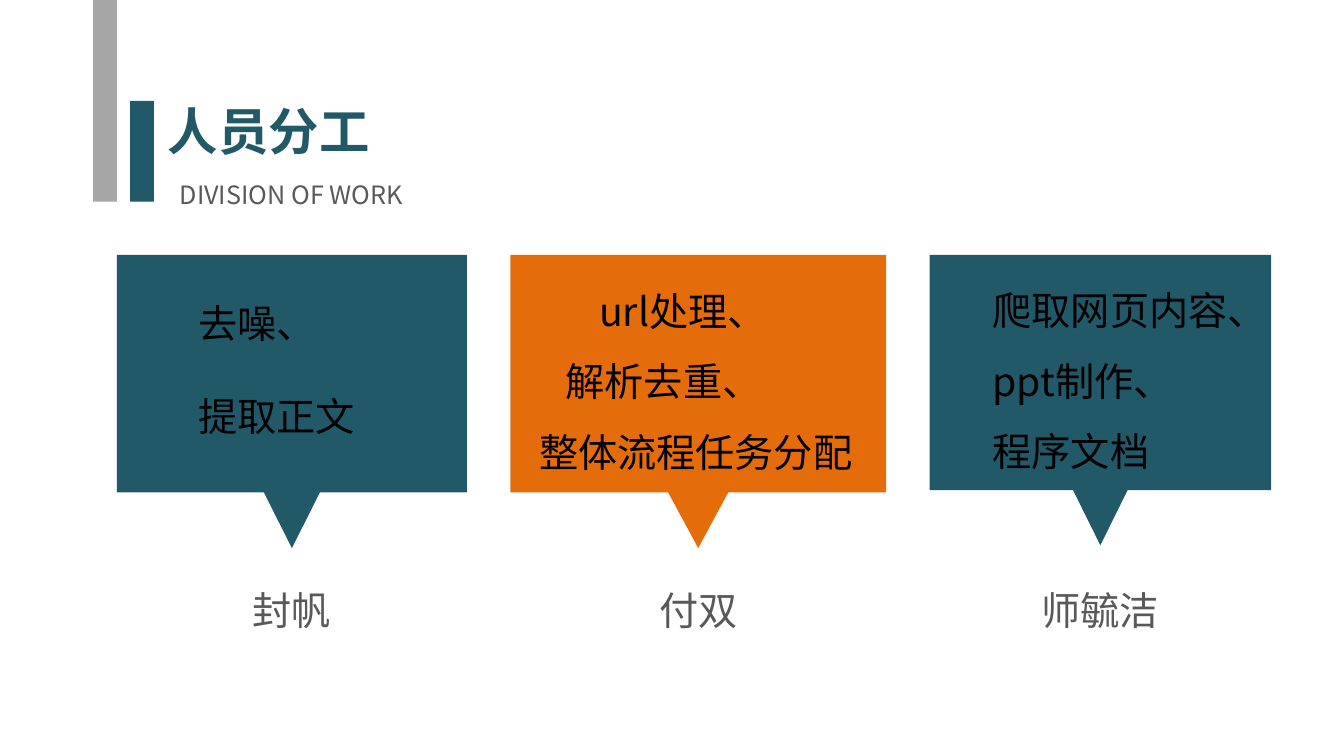
"""Build the division-of-work slide with three callouts."""
from pptx import Presentation
from pptx.dml.color import RGBColor as Rgb
from pptx.enum.shapes import MSO_SHAPE as Kind
from pptx.enum.text import MSO_ANCHOR as Anchor, PP_ALIGN as Align
from pptx.oxml.ns import qn
from pptx.util import Pt

HUES = {"teal": "215968", "orange": "E46C0A", "gray": "A6A6A6",
        "text": "595959", "black": "000000"}
SANS, SANS_JP = "Noto Sans CJK SC", "Noto Sans CJK JP"
TITLE = "人员分工"
SUB = "DIVISION OF WORK"
BARS = [(66.5, 0, 144, "gray"), (93, 72, 72, "teal")]
CARDS = [
    {"name": "封帆", "hue": "teal", "box": (83.5, 250, 209.5), "mid": 208.5,
     "text": (134.5, 210.5, 206), "gap": 33.25,
     "lines": [("去噪、", 0), ("提取正文", 0)]},
    {"name": "付双", "hue": "orange", "box": (364.5, 268.5, 209.5), "mid": 499,
     "text": (378, 202, 241), "gap": 17,
     "lines": [("url处理、", 43), ("解析去重、", 19), ("整体流程任务分配", 0)]},
    {"name": "师毓洁", "hue": "teal", "box": (664, 244, 207.5), "mid": 786,
     "text": (702, 201.5, 216), "gap": 17,
     "lines": [("爬取网页内容、", 0), ("ppt制作、", 0), ("程序文档", 0)]},
]
TOP, NAME_TOP, NAME_W = 182, 415.5, 192
BODY, TAIL = 0.81, 0.08
LEAD = 1.19


def paint(shape, hue):
    """Give a shape a flat fill without line or shadow."""
    shape.shadow.inherit = False
    shape.fill.solid()
    shape.fill.fore_color.rgb = Rgb.from_string(HUES[hue])
    shape.line.fill.background()


def write(shape, lines, size, hue, face=SANS, align=Align.CENTER, gap=0, bold=False):
    """Fill a text shape with (text, indent) lines."""
    frame = shape.text_frame
    frame.word_wrap = True
    frame.vertical_anchor = Anchor.TOP
    frame.margin_left = frame.margin_right = Pt(7.2)
    frame.margin_top = frame.margin_bottom = Pt(3.6)
    frame.text = "\n".join(text for text, _ in lines)
    for para, (_, indent) in zip(frame.paragraphs, lines):
        para.alignment = align
        para.line_spacing = Pt(round(size * LEAD, 2))
        para.space_before, para.space_after = Pt(0), Pt(gap)
        para._p.get_or_add_pPr().set("marL", str(Pt(indent)))
        for run in para.runs:
            font = run.font
            font.size, font.bold, font.name = Pt(size), bold, face
            font.color.rgb = Rgb.from_string(HUES[hue])
            east = run._r.get_or_add_rPr().makeelement(qn("a:ea"), {"typeface": face})
            font._rPr.find(qn("a:latin")).addnext(east)


def add_text(slide, x, y, w, h, *args, **opts):
    """Add a text box and write in it."""
    box = slide.shapes.add_textbox(Pt(x), Pt(y), Pt(w), Pt(h))
    write(box, *args, **opts)


def add_callout(slide, x, w, h, hue):
    """Draw a box with a tail at the middle of its foot."""
    mid, half, foot = x + w / 2, w * TAIL, TOP + h * BODY
    pen = slide.shapes.build_freeform(Pt(x), Pt(TOP))
    dots = [(x + w, TOP), (x + w, foot), (mid + half, foot), (mid, TOP + h),
            (mid - half, foot), (x, foot)]
    pen.add_line_segments([(Pt(a), Pt(b)) for a, b in dots], close=True)
    paint(pen.convert_to_shape(), hue)


def main():
    """Make and save the slide."""
    deck = Presentation()
    deck.slide_width, deck.slide_height = Pt(960), Pt(540)
    slide = deck.slides.add_slide(deck.slide_layouts[5])
    for x, y, h, hue in BARS:
        bar = slide.shapes.add_shape(Kind.RECTANGLE, Pt(x), Pt(y), Pt(17), Pt(h))
        paint(bar, hue)
    title = slide.shapes.title
    title.left, title.top, title.width, title.height = Pt(109.5), Pt(68), Pt(165), Pt(51)
    write(title, [(TITLE, 0)], 36, "teal", bold=True)
    add_text(slide, 85, 125, 246, 29, [(SUB, 0)], 18, "text")
    for card in CARDS:
        add_callout(slide, *card["box"], card["hue"])
        add_text(slide, card["mid"] - NAME_W / 2, NAME_TOP, NAME_W, 41,
                 [(card["name"], 0)], 28, "text", SANS_JP)
        add_text(slide, *card["text"], 150, card["lines"], 28, "black",
                 align=Align.LEFT, gap=card["gap"])
    deck.save("out.pptx")


if __name__ == "__main__":
    main()
